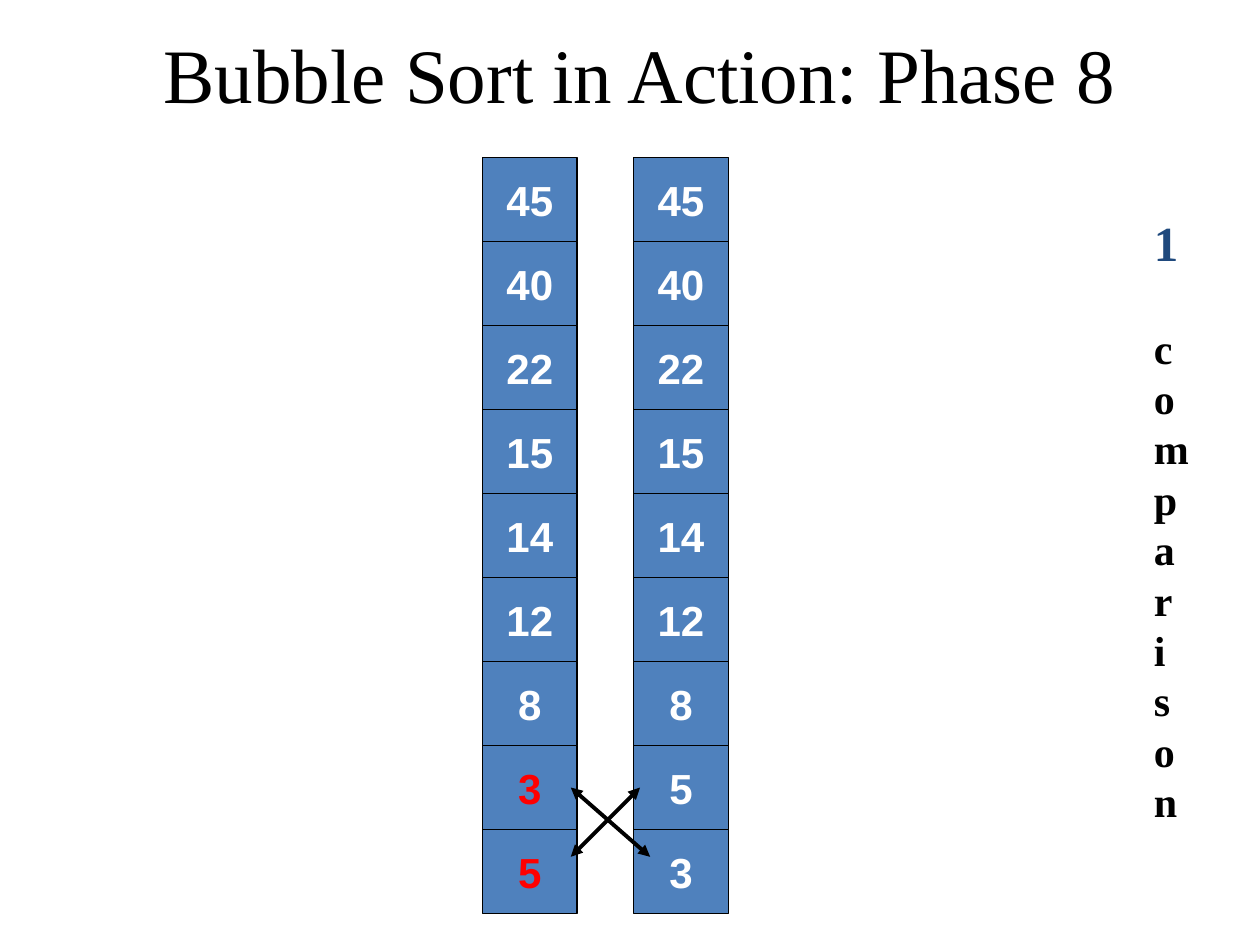
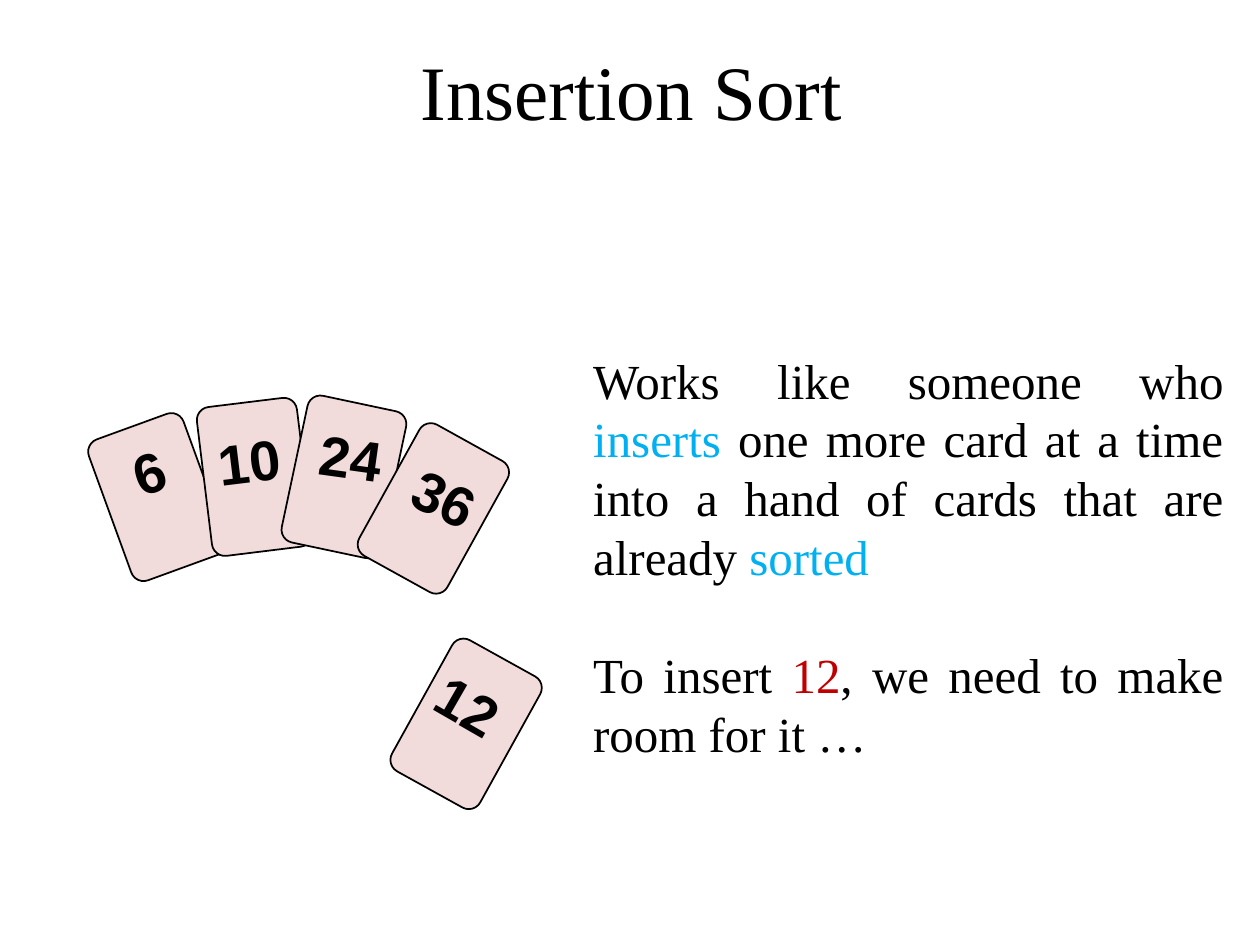
import pptx
import pptx.util
import pptx.dml.color
import pptx.enum.shapes
import pptx.enum.text
import lxml.etree
from dataclasses import dataclass

Inches = pptx.util.Inches
Pt = pptx.util.Pt
ALIGN = pptx.enum.text.PP_ALIGN
ANCHOR = pptx.enum.text.MSO_ANCHOR
SHAPE = pptx.enum.shapes.MSO_SHAPE


@dataclass(frozen=True)
class Theme:
    serif: str = "Times New Roman"
    sans: str = "Arial"
    black: str = "000000"
    white: str = "FFFFFF"
    cell: str = "4F81BD"
    swapped: str = "FF0000"
    count: str = "1F497D"
    card: str = "F2DCDB"
    accent: str = "00B0F0"
    inserted: str = "C00000"
    title_size: int = 44
    card_size: int = 32
    body_size: int = 28
    label_size: int = 24


theme = Theme()


def rgb(value):
    return pptx.dml.color.RGBColor.from_string(value)


def write(p, runs, font, align=ALIGN.LEFT, bold=False):
    p.alignment = align
    for text, size, color in runs:
        r = p.add_run()
        r.text = text
        r.font.name = font
        r.font.size = Pt(size)
        r.font.bold = bold
        r.font.color.rgb = rgb(color)


prs = pptx.Presentation()
prs.slide_width = Inches(10)
prs.slide_height = Inches(7.5)
bubble, insertion = [prs.slides.add_slide(prs.slide_layouts[6]) for _ in range(2)]

titles = [
    (bubble, "Bubble Sort in Action: Phase 8", 0.55, 0.16, 9.06, 0.84, ANCHOR.TOP),
    (insertion, "Insertion Sort", 1.79, 0.21, 6.44, 0.92, ANCHOR.BOTTOM),
]
for s, text, left, top, width, height, anchor in titles:
    sp = s.shapes.add_textbox(Inches(left), Inches(top), Inches(width), Inches(height))
    tf = sp.text_frame
    tf.word_wrap = True
    tf.vertical_anchor = anchor
    write(tf.paragraphs[0], [(text, theme.title_size, theme.black)], theme.serif, ALIGN.CENTER)

sp = bubble.shapes.add_textbox(Inches(9.06), Inches(1.64), Inches(0.39), Inches(4.97))
tf = sp.text_frame
tf.word_wrap = True
comparisons = [("1", theme.body_size, theme.count), (" comparison", theme.label_size, theme.black)]
write(tf.paragraphs[0], comparisons, theme.serif, bold=True)

sorted_part = [45, 40, 22, 15, 14, 12, 8]
cell_width, cell_height, column_top = 0.75, 2 / 3, 1.25
columns = [(3.83, sorted_part + [3, 5], theme.swapped), (5.03, sorted_part + [5, 3], theme.white)]
for left, values, last_color in columns:
    for row, value in enumerate(values):
        sp = bubble.shapes.add_shape(
            SHAPE.RECTANGLE, Inches(left), Inches(column_top + row * cell_height),
            Inches(cell_width), Inches(cell_height))
        sp.shadow.inherit = False
        sp.fill.solid()
        sp.fill.fore_color.rgb = rgb(theme.cell)
        sp.line.color.rgb = rgb(theme.black)
        sp.line.width = Pt(0.75)
        tf = sp.text_frame
        tf.word_wrap = False
        tf.vertical_anchor = ANCHOR.MIDDLE
        color = theme.white if row < len(sorted_part) else last_color
        write(tf.paragraphs[0], [(str(value), theme.label_size, color)], theme.sans, ALIGN.CENTER, True)

for start_x, end_x in [(4.53, 5.16), (5.08, 4.53)]:
    swap = bubble.shapes.add_connector(
        pptx.enum.shapes.MSO_CONNECTOR.STRAIGHT,
        Inches(start_x), Inches(6.25), Inches(end_x), Inches(6.8))
    swap.line.color.rgb = rgb(theme.black)
    swap.line.width = Pt(2.25)
    ln = swap.line._get_or_add_ln()
    for end in ("headEnd", "tailEnd"):
        lxml.etree.SubElement(ln, pptx.oxml.ns.qn("a:" + end), type="triangle")
    lxml.etree.SubElement(swap._element.spPr, pptx.oxml.ns.qn("a:effectLst"))

sp = insertion.shapes.add_textbox(Inches(4.61), Inches(2.73), Inches(5.2), Inches(3.37))
tf = sp.text_frame
tf.word_wrap = True
paragraphs = [
    [("Works like someone who ", theme.black), ("inserts", theme.accent),
     (" one more card at a time into a hand of cards that are already ", theme.black),
     ("sorted ", theme.accent)],
    [("To insert ", theme.black), ("12", theme.inserted),
     (", we need to make room for it …", theme.black)],
]
for i, parts in enumerate(paragraphs):
    p = tf.add_paragraph() if i else tf.paragraphs[0]
    p.space_before = Pt(33.6 * i)
    write(p, [(text, theme.body_size, color) for text, color in parts], theme.serif, ALIGN.JUSTIFY)

card_width, card_height, corner = 0.8, 1.19, 0.13
hand = [(0.85, 3.35, -20), (1.62, 3.19, -7), (2.33, 3.19, 12), (3.04, 3.44, 29)]
for left, top, angle in hand + [(3.3, 5.15, 29)]:
    sp = insertion.shapes.add_shape(
        SHAPE.ROUNDED_RECTANGLE, Inches(left), Inches(top), Inches(card_width), Inches(card_height))
    sp.adjustments[0] = corner
    sp.rotation = angle
    sp.shadow.inherit = False
    sp.fill.solid()
    sp.fill.fore_color.rgb = rgb(theme.card)
    sp.line.color.rgb = rgb(theme.black)
    sp.line.width = Pt(1)

numbers = [
    ("6", 0.96, 3.42, 0.45, -19), ("10", 1.63, 3.34, 0.7, -7), ("24", 2.44, 3.31, 0.7, 8),
    ("36", 3.19, 3.63, 0.7, 25), ("12", 3.37, 5.28, 0.7, 30),
]
for text, left, top, width, angle in numbers:
    sp = insertion.shapes.add_textbox(Inches(left), Inches(top), Inches(width), Inches(0.63))
    sp.rotation = angle
    tf = sp.text_frame
    tf.word_wrap = False
    write(tf.paragraphs[0], [(text, theme.card_size, theme.black)], theme.sans, bold=True)

prs.save("out.pptx")
